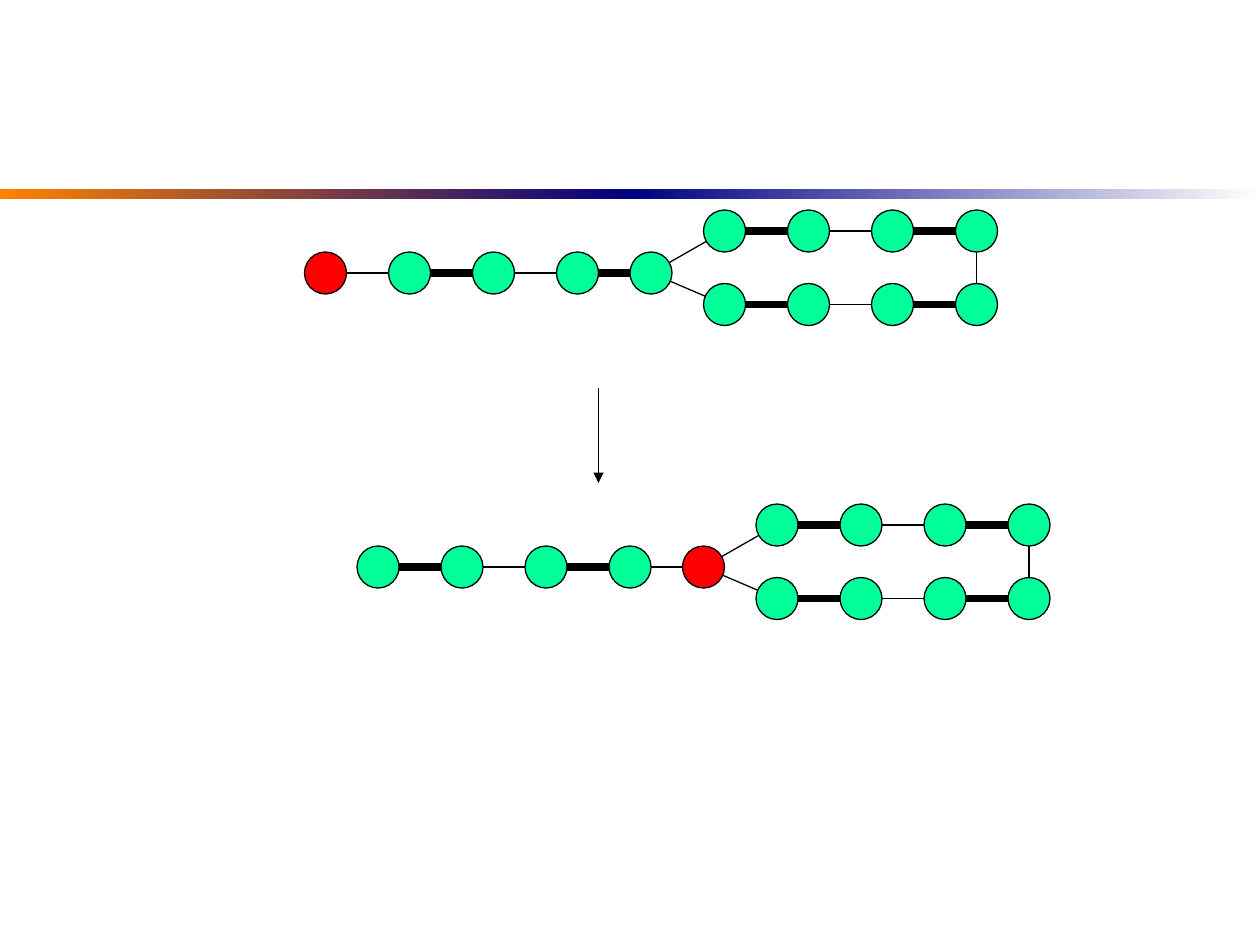
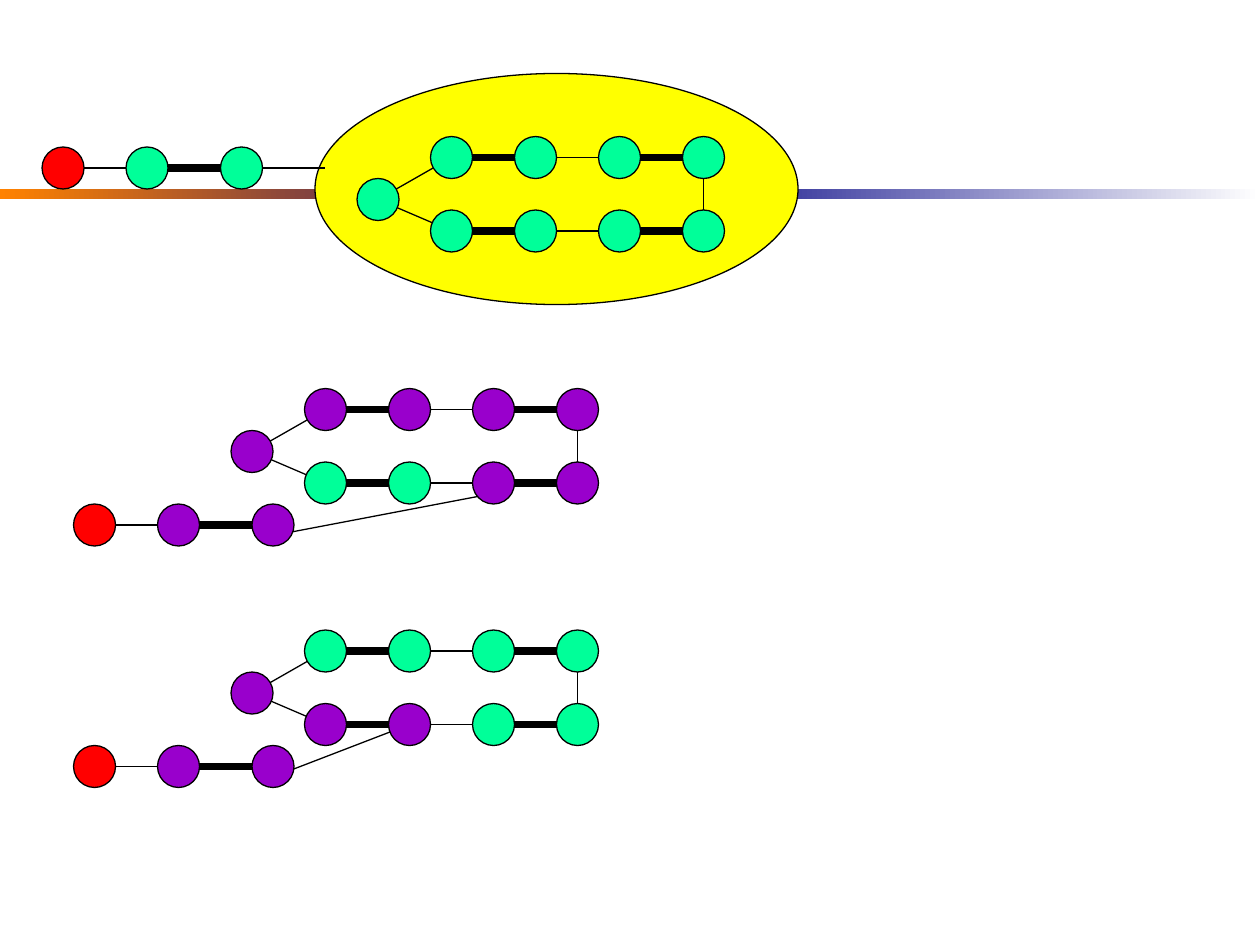
from itertools import cycle, pairwise

from lxml import etree
from pptx import Presentation
from pptx.dml.color import RGBColor
from pptx.enum import shapes
from pptx.oxml import ns
from pptx.util import Inches, Pt

BLACK = RGBColor(0, 0, 0)
WHITE = RGBColor(255, 255, 255)
ORANGE = RGBColor(0xFF, 0x82, 0x00)
NAVY = RGBColor(0x00, 0x00, 0x82)
YELLOW = RGBColor(0xFF, 0xFF, 0x00)
RED = RGBColor(0xFF, 0x00, 0x00)
GREEN = RGBColor(0x00, 0xFF, 0x99)
PURPLE = RGBColor(0x99, 0x00, 0xCC)
VERTEX_COLOURS = {"R": RED, "G": GREEN, "P": PURPLE}

THIN, THICK = 0.75, 4.5
RADIUS = 2
PITCH = 8


def grid(steps):
    """Length of a number of grid steps; twelve steps make an inch."""
    return Inches(steps / 12)


def add_band(slide, left, start_colour, end_colour):
    band = slide.shapes.add_shape(
        shapes.MSO_SHAPE.RECTANGLE, Inches(left), Inches(1.5), Inches(5), grid(1))
    band.shadow.inherit = False
    band.line.fill.background()
    band.fill.gradient()
    band.fill.gradient_angle = 0
    for stop, colour in zip(band.fill.gradient_stops, (start_colour, end_colour)):
        stop.color.rgb = colour


def add_slide(deck):
    slide = deck.slides.add_slide(deck.slide_layouts[6])
    add_band(slide, 0, ORANGE, NAVY)
    add_band(slide, 5, NAVY, WHITE)
    return slide


def add_edge(slide, start, end, weight=THIN, arrow=False):
    edge = slide.shapes.add_connector(
        shapes.MSO_CONNECTOR.STRAIGHT, *map(grid, (*start, *end)))
    edge.line.color.rgb = BLACK
    edge.line.width = Pt(weight)
    if arrow:
        etree.SubElement(edge.line._get_or_add_ln(), ns.qn("a:tailEnd"), type="triangle")
    etree.SubElement(edge._element.spPr, ns.qn("a:effectLst"))


def add_ellipse(slide, centre, radii, colour):
    (x, y), (rx, ry) = centre, radii
    ellipse = slide.shapes.add_shape(
        shapes.MSO_SHAPE.OVAL, *map(grid, (x - rx, y - ry, 2 * rx, 2 * ry)))
    ellipse.shadow.inherit = False
    ellipse.fill.solid()
    ellipse.fill.fore_color.rgb = colour
    ellipse.line.color.rgb = BLACK
    ellipse.line.width = Pt(THIN)


def add_alternating_walk(slide, points, colours, first_matched=False):
    """Edges alternate between matched (thick) and free (thin); one vertex per colour letter."""
    weights = cycle((THICK, THIN) if first_matched else (THIN, THICK))
    for (start, end), weight in zip(pairwise(points), weights):
        add_edge(slide, start, end, weight)
    for point, letter in zip(points, colours):
        add_ellipse(slide, point, (RADIUS, RADIUS), VERTEX_COLOURS[letter])


def add_blossom(slide, base, colours):
    """Odd cycle: base, upper row rightwards, lower row leftwards."""
    x, y = base
    columns = [x + 7 + PITCH * i for i in range(4)]
    upper = [(column, y - 4) for column in columns]
    lower = [(column, y + 3) for column in reversed(columns)]
    add_alternating_walk(slide, [base, *upper, *lower, base], colours)


def add_flower(slide, base, stem_start, stem_colours, blossom_colours, first_matched=False):
    x, y = base
    stem = [(stem_start + PITCH * i, y) for i in range(4)]
    add_alternating_walk(slide, [*stem, base], stem_colours, first_matched)
    add_blossom(slide, base, blossom_colours)


def add_short_stem(slide, left, y, colours):
    add_alternating_walk(slide, [(left, y), (left + 8, y), (left + 17, y)], colours)


def add_expanded_path(slide, top, entry_column, blossom_colours):
    """Stem that enters the lower row of an expanded blossom."""
    base_y, stem_y = top + 4, top + 11
    entry_y = base_y + (4 if entry_column == 2 else 3)
    add_edge(slide, (26, stem_y + 1), (31 + PITCH * entry_column, entry_y))
    add_short_stem(slide, 9, stem_y, "RPP")
    add_blossom(slide, (24, base_y), blossom_colours)


def build_base_shift(slide):
    add_flower(slide, (67, 54), 36, "GGGG", "RGGGGGGGG", first_matched=True)
    add_flower(slide, (62, 26), 31, "RGGG", "GGGGGGGGG")
    add_edge(slide, (57, 37), (57, 46), arrow=True)


def build_expansion(slide):
    add_short_stem(slide, 6, 16, "RGG")
    add_ellipse(slide, (53, 18), (23, 11), YELLOW)
    add_edge(slide, (25, 16), (31, 16))
    add_blossom(slide, (36, 19), "GGGGGGGGG")
    add_expanded_path(slide, 39, 2, "PPPPPPPGG")
    add_expanded_path(slide, 62, 1, "PGGGGGGPP")


def main():
    deck = Presentation()
    deck.slide_width, deck.slide_height = Inches(10), Inches(7.5)
    for build in (build_base_shift, build_expansion):
        build(add_slide(deck))
    deck.save("out.pptx")


if __name__ == "__main__":
    main()
